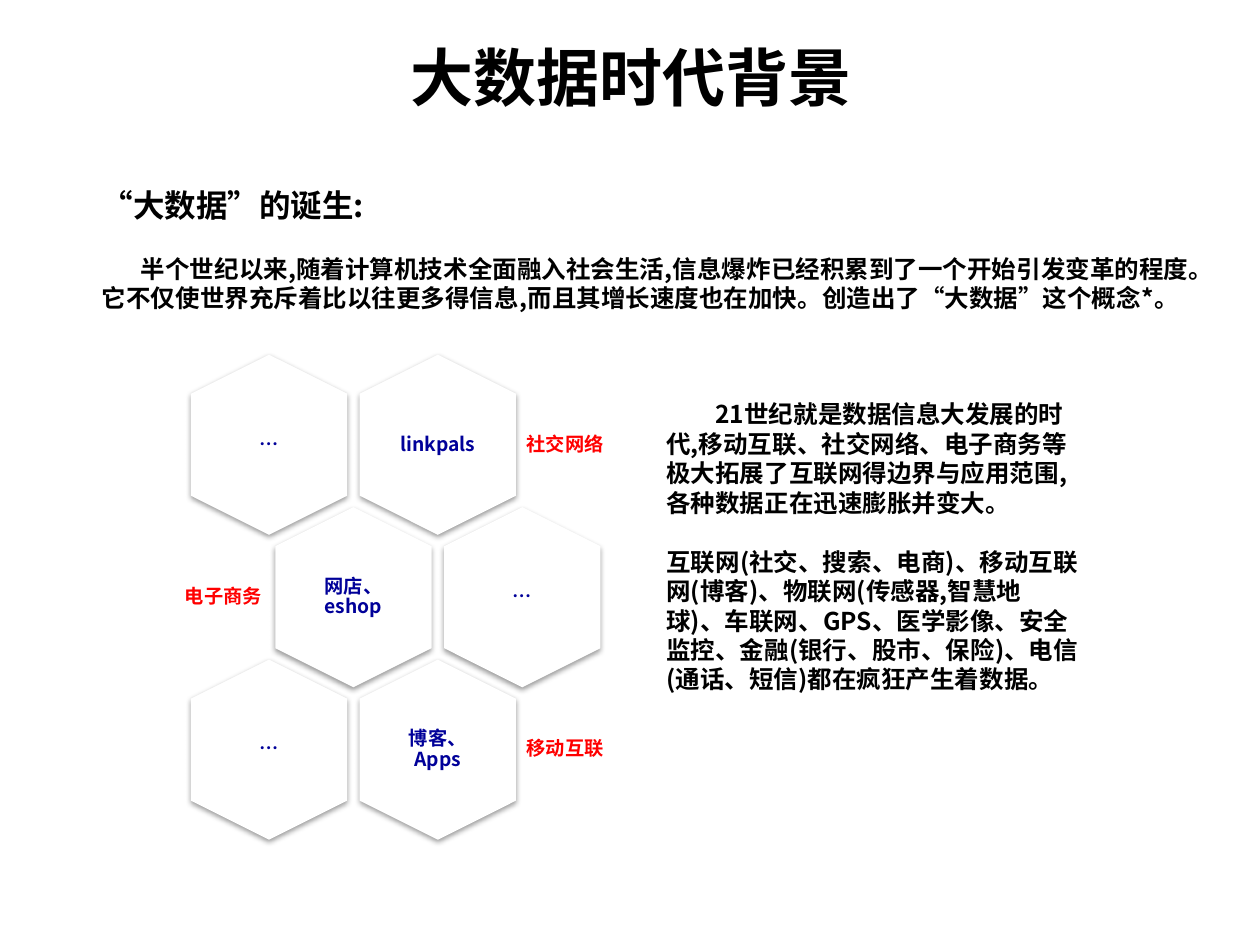
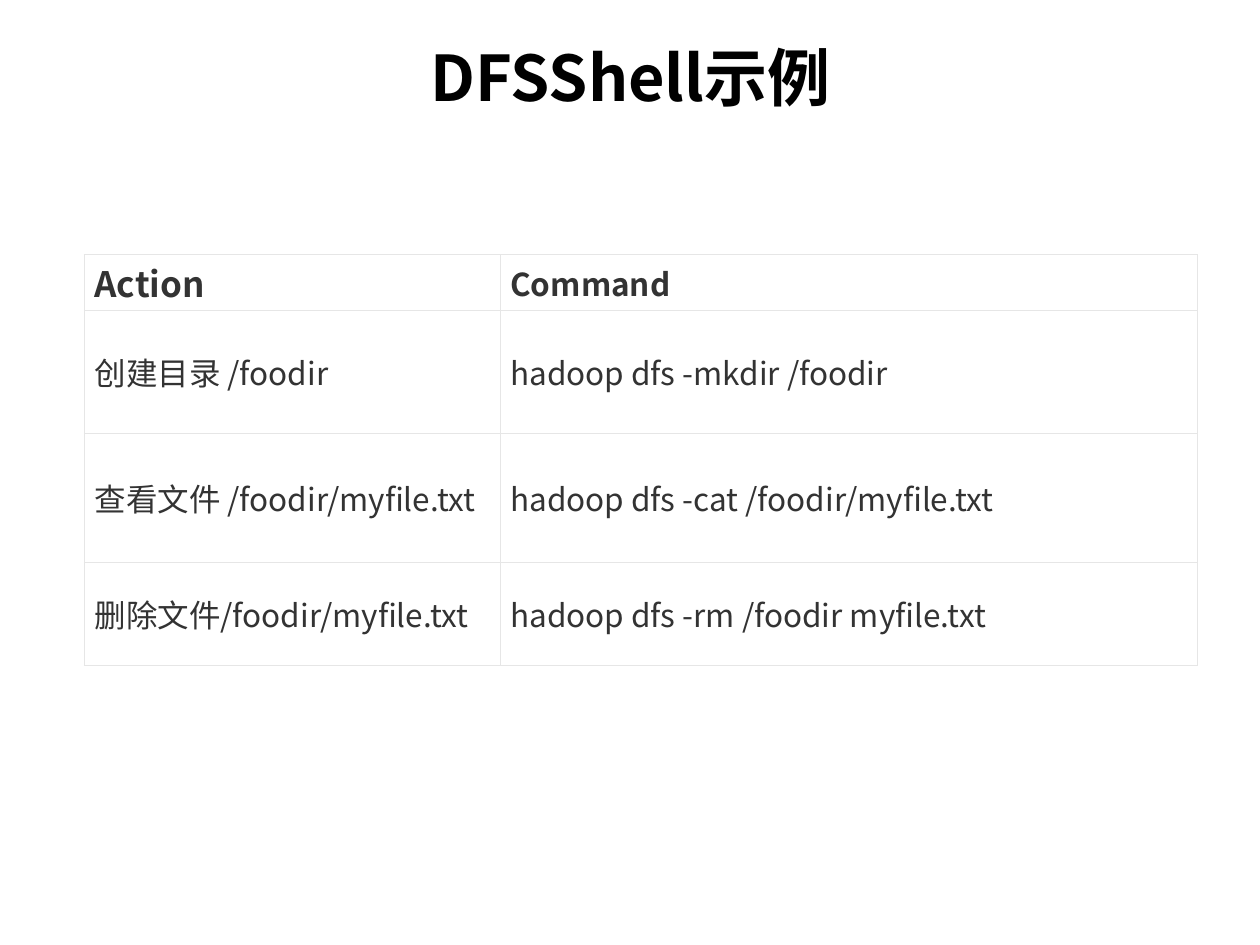
"""Build two slides: the background of big data and DFSShell examples."""
from lxml import etree
from pptx import Presentation
from pptx.dml.color import RGBColor
from pptx.enum.shapes import MSO_SHAPE
from pptx.enum.text import MSO_ANCHOR, MSO_AUTO_SIZE, PP_ALIGN
from pptx.oxml import parse_xml
from pptx.oxml.ns import nsdecls, qn
from pptx.util import Inches, Pt

HEXAGON = MSO_SHAPE.HEXAGON
MIDDLE, TOP = MSO_ANCHOR.MIDDLE, MSO_ANCHOR.TOP
FIT_SHAPE = MSO_AUTO_SIZE.SHAPE_TO_FIT_TEXT
LEFT, CENTER, RIGHT = PP_ALIGN.LEFT, PP_ALIGN.CENTER, PP_ALIGN.RIGHT

FONT = "Noto Sans CJK SC"
BLACK = RGBColor(0x00, 0x00, 0x00)
WHITE = RGBColor(0xFF, 0xFF, 0xFF)
NAVY = RGBColor(0x00, 0x00, 0x99)
RED = RGBColor(0xFF, 0x00, 0x00)
CHARCOAL = RGBColor(0x33, 0x33, 0x33)
BORDER_HEX = "E6E6E6"

BACKGROUND_TITLE = "大数据时代背景"
BIRTH = [
    ("“大数据”的诞生:", 18, 0),
    ("半个世纪以来,随着计算机技术全面融入社会生活,信息爆炸已经积累到了一个开始引发变革的程度。"
     "它不仅使世界充斥着比以往更多得信息,而且其增长速度也在加快。创造出了“大数据”这个概念*。", 14, 0.31),
]
GROWTH = [
    ("21世纪就是数据信息大发展的时代,移动互联、社交网络、电子商务等极大拓展了互联网得边界与应用范围,"
     "各种数据正在迅速膨胀并变大。", 14, 0.39),
    ("互联网(社交、搜索、电商)、移动互联网(博客)、物联网(传感器,智慧地球)、车联网、GPS、医学影像、"
     "安全监控、金融(银行、股市、保险)、电信(通话、短信)都在疯狂产生着数据。", 14, 0),
]
HONEYCOMB = [
    (("…", "linkpals"), "社交网络", RIGHT),
    (("网店、eshop", "…"), "电子商务", LEFT),
    (("…", "博客、Apps"), "移动互联", RIGHT),
]

SHELL_TITLE = "DFSShell示例"
COMMANDS = [
    ("Action", "Command"),
    ("创建目录 /foodir", "hadoop dfs -mkdir /foodir"),
    ("查看文件 /foodir/myfile.txt", "hadoop dfs -cat /foodir/myfile.txt"),
    ("删除文件/foodir/myfile.txt", "hadoop dfs -rm /foodir myfile.txt"),
]
COLUMN_WIDTHS = (3.3, 5.53)
ROW_HEIGHTS = (0.43, 0.98, 1.02, 0.82)

HEX_LENGTH, HEX_WIDTH = 1.43, 1.24
HEX_PITCH_X, HEX_PITCH_Y = 1.34, 1.21
FIRST_HEX_X, FIRST_HEX_Y = 2.135, 3.53
PARAGRAPH_GAP = 17


def style(paragraph, size, color, bold=True, align=LEFT):
    """Set alignment and font, for Latin and East Asian text alike."""
    paragraph.alignment = align
    font = paragraph.font
    font.size, font.bold, font.name = Pt(size), bold, FONT
    font.color.rgb = color
    defaults = paragraph._p.get_or_add_pPr().find(qn("a:defRPr"))
    etree.SubElement(defaults, qn("a:ea")).set("typeface", FONT)


def add_titled_slide(prs, text):
    """Add a slide with the shared title style."""
    slide = prs.slides.add_slide(prs.slide_layouts[5])
    title = slide.shapes.title
    title.left, title.top = Inches(0.51), Inches(0.12)
    title.width, title.height = Inches(8.99), Inches(0.97)
    title.text_frame.text = text
    title.text_frame.vertical_anchor = MIDDLE
    style(title.text_frame.paragraphs[0], 36, BLACK, align=CENTER)
    return slide


def add_prose(slide, left, top, width, height, passages):
    """Add a text box of passages with first-line indents."""
    box = slide.shapes.add_textbox(Inches(left), Inches(top), Inches(width), Inches(height))
    frame = box.text_frame
    frame.word_wrap, frame.auto_size = True, FIT_SHAPE
    for index, (text, size, indent) in enumerate(passages):
        paragraph = frame.add_paragraph() if index else frame.paragraphs[0]
        paragraph.text = text
        if index:
            paragraph.space_before = Pt(PARAGRAPH_GAP)
        if indent:
            paragraph._p.get_or_add_pPr().set("indent", str(Inches(indent)))
        style(paragraph, size, BLACK)


def add_label(slide, left, center_y, width, height, text, color, align):
    """Add a small label centred vertically on center_y."""
    box = slide.shapes.add_textbox(
        Inches(left), Inches(center_y - height / 2), Inches(width), Inches(height))
    frame = box.text_frame
    frame.word_wrap, frame.vertical_anchor = True, MIDDLE
    frame.margin_left = frame.margin_right = Inches(0.05)
    frame.margin_top = frame.margin_bottom = Inches(0.05)
    paragraph = frame.paragraphs[0]
    paragraph.text = text
    paragraph.line_spacing = 0.9
    style(paragraph, 11, color, align=align)


def add_hexagon(slide, center_x, center_y, text):
    """Add an upright hexagon with a soft shadow and its caption."""
    cell = slide.shapes.add_shape(
        HEXAGON, Inches(center_x - HEX_LENGTH / 2), Inches(center_y - HEX_WIDTH / 2),
        Inches(HEX_LENGTH), Inches(HEX_WIDTH))
    cell.rotation = 90
    cell.adjustments[0] = 0.25
    cell.fill.solid()
    cell.fill.fore_color.rgb = WHITE
    cell.line.fill.background()
    cell.shadow.inherit = False
    effects = cell._element.spPr.find(qn("a:effectLst"))
    effects.append(parse_xml(
        f'<a:outerShdw {nsdecls("a")} blurRad="{Pt(3.1)}" dist="{Pt(1.6)}" dir="5400000" '
        'rotWithShape="0"><a:srgbClr val="000000"><a:alpha val="38000"/></a:srgbClr></a:outerShdw>'))
    add_label(slide, center_x - 0.425, center_y, 0.85, 0.98, text, NAVY, CENTER)


def add_honeycomb(slide):
    """Lay out staggered hexagon rows with a category beside each."""
    for row, (captions, category, side) in enumerate(HONEYCOMB):
        center_y = FIRST_HEX_Y + row * HEX_PITCH_Y
        start_x = FIRST_HEX_X + row % 2 * HEX_PITCH_X / 2
        for column, caption in enumerate(captions):
            add_hexagon(slide, start_x + column * HEX_PITCH_X, center_y, caption)
        if side == RIGHT:
            add_label(slide, 4.13, center_y, 1.59, 0.86, category, RED, LEFT)
        else:
            add_label(slide, 0.59, center_y, 1.54, 0.86, category, RED, RIGHT)


def add_borders(cell):
    """Draw thin grey lines on all four sides of a table cell."""
    properties = cell._tc.get_or_add_tcPr()
    for index, side in enumerate(("lnL", "lnR", "lnT", "lnB")):
        properties.insert(index, parse_xml(
            f'<a:{side} {nsdecls("a")} w="{Pt(0.6)}"><a:solidFill>'
            f'<a:srgbClr val="{BORDER_HEX}"/></a:solidFill></a:{side}>'))


def add_command_table(slide):
    """Add the table of actions and shell commands."""
    table = slide.shapes.add_table(
        len(COMMANDS), len(COLUMN_WIDTHS), Inches(0.67), Inches(2.02),
        Inches(sum(COLUMN_WIDTHS)), Inches(sum(ROW_HEIGHTS))).table
    for column, width in zip(table.columns, COLUMN_WIDTHS):
        column.width = Inches(width)
    for row, (height, texts) in enumerate(zip(ROW_HEIGHTS, COMMANDS)):
        table.rows[row].height = Inches(height)
        for column, text in enumerate(texts):
            cell = table.cell(row, column)
            cell.text = text
            cell.vertical_anchor = MIDDLE
            cell.margin_left = cell.margin_right = Inches(0.08)
            cell.margin_top = cell.margin_bottom = Inches(0.02)
            cell.fill.solid()
            cell.fill.fore_color.rgb = WHITE
            add_borders(cell)
            size = 20 if row == column == 0 else 18
            style(cell.text_frame.paragraphs[0], size, CHARCOAL, bold=row == 0)


def main():
    """Build and save the presentation."""
    prs = Presentation()
    prs.slide_width, prs.slide_height = Inches(10), Inches(7.5)
    background = add_titled_slide(prs, BACKGROUND_TITLE)
    add_prose(background, 0.71, 1.43, 8.92, 1.11, BIRTH)
    add_honeycomb(background)
    add_prose(background, 5.19, 3.12, 3.47, 2.44, GROWTH)
    add_command_table(add_titled_slide(prs, SHELL_TITLE))
    prs.save("out.pptx")


if __name__ == "__main__":
    main()
